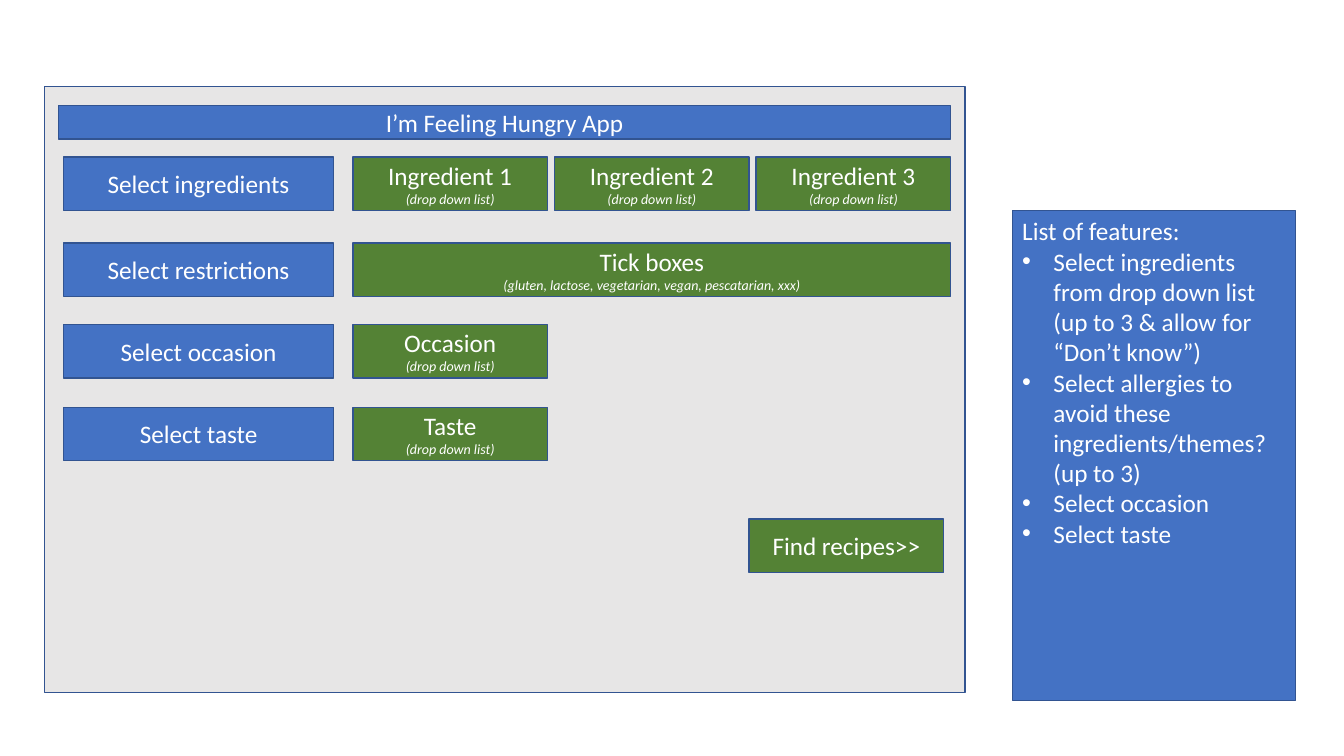
from dataclasses import dataclass

import lxml.etree
import pptx
import pptx.dml.color
import pptx.enum.shapes
import pptx.enum.text
import pptx.oxml.ns
import pptx.util

Inches = pptx.util.Inches
Pt = pptx.util.Pt

COLORS = {
    "panel": "E7E6E6",
    "label": "4472C4",
    "control": "548235",
    "border": "325491",
    "text": "FFFFFF",
}
FONT = "Calibri"
DROP_DOWN = "(drop down list)"
LABEL_LEFT, LABEL_WIDTH = 0.63, 2.68
CONTROL_LEFT, CONTROL_WIDTH, CONTROL_PITCH = 3.5, 1.93, 2.0
ROW_HEIGHT = 0.53


@dataclass
class Control:
    title: str
    hint: str = DROP_DOWN
    columns: int = 1


@dataclass
class FormRow:
    top: float
    label: str
    controls: list[Control]


FORM_ROWS = [
    FormRow(1.56, "Select ingredients", [Control(f"Ingredient {n}") for n in (1, 2, 3)]),
    FormRow(2.41, "Select restrictions", [
        Control("Tick boxes", "(gluten, lactose, vegetarian, vegan, pescatarian, xxx)", 3),
    ]),
    FormRow(3.22, "Select occasion", [Control("Occasion")]),
    FormRow(4.04, "Select taste", [Control("Taste")]),
]

FEATURES = [
    "Select ingredients from drop down list (up to 3 & allow for “Don’t know”)",
    "Select allergies to avoid these ingredients/themes? (up to 3)",
    "Select occasion",
    "Select taste",
]


def rgb(name: str) -> pptx.dml.color.RGBColor:
    return pptx.dml.color.RGBColor.from_string(COLORS[name])


def add_box(slide, left: float, top: float, width: float, height: float,
            color: str, lines: tuple[str, ...] = ()):
    box = slide.shapes.add_shape(
        pptx.enum.shapes.MSO_SHAPE.RECTANGLE,
        Inches(left), Inches(top), Inches(width), Inches(height))
    box.shadow.inherit = False
    box.fill.solid()
    box.fill.fore_color.rgb = rgb(color)
    box.line.color.rgb = rgb("border")
    box.line.width = Pt(1)
    frame = box.text_frame
    frame.word_wrap = True
    frame.vertical_anchor = pptx.enum.text.MSO_ANCHOR.MIDDLE
    frame.text = "\n".join(lines)
    for paragraph in frame.paragraphs:
        paragraph.alignment = pptx.enum.text.PP_ALIGN.CENTER
        for run in paragraph.runs:
            run.font.name = FONT
            run.font.size = Pt(18)
            run.font.color.rgb = rgb("text")
    return box


def add_control(slide, left: float, top: float, control: Control) -> None:
    width = CONTROL_WIDTH + (control.columns - 1) * CONTROL_PITCH
    lines = (control.title, control.hint) if control.hint else (control.title,)
    box = add_box(slide, left, top, width, ROW_HEIGHT, "control", lines)
    for paragraph in box.text_frame.paragraphs[1:]:
        paragraph.runs[0].font.size = Pt(10)
        paragraph.runs[0].font.italic = True


def add_form_row(slide, row: FormRow) -> None:
    add_box(slide, LABEL_LEFT, row.top, LABEL_WIDTH, ROW_HEIGHT, "label", (row.label,))
    for column, control in enumerate(row.controls):
        add_control(slide, CONTROL_LEFT + column * CONTROL_PITCH, row.top, control)


def add_bullet(paragraph) -> None:
    properties = paragraph._p.get_or_add_pPr()
    properties.set("marL", str(Inches(0.31)))
    properties.set("indent", str(-Inches(0.31)))
    for tag, attribute, value in (("a:buFont", "typeface", "Arial"), ("a:buChar", "char", "•")):
        lxml.etree.SubElement(properties, pptx.oxml.ns.qn(tag)).set(attribute, value)


def add_feature_list(slide) -> None:
    box = add_box(slide, 10.04, 2.09, 2.81, 4.86, "label", ("List of features:", *FEATURES))
    frame = box.text_frame
    frame.vertical_anchor = pptx.enum.text.MSO_ANCHOR.TOP
    for paragraph in frame.paragraphs:
        paragraph.alignment = pptx.enum.text.PP_ALIGN.LEFT
    for paragraph in frame.paragraphs[1:]:
        add_bullet(paragraph)


presentation = pptx.Presentation()
presentation.slide_width = Inches(13.33)
presentation.slide_height = Inches(7.5)
app_slide = presentation.slides.add_slide(presentation.slide_layouts[6])

add_box(app_slide, 0.44, 0.86, 9.13, 6.01, "panel")
add_feature_list(app_slide)
add_box(app_slide, 0.58, 1.05, 8.85, 0.33, "label", ("I’m Feeling Hungry App",))
for form_row in FORM_ROWS:
    add_form_row(app_slide, form_row)
add_control(app_slide, 7.43, 5.15, Control("Find recipes>>", hint=""))

presentation.save("out.pptx")
